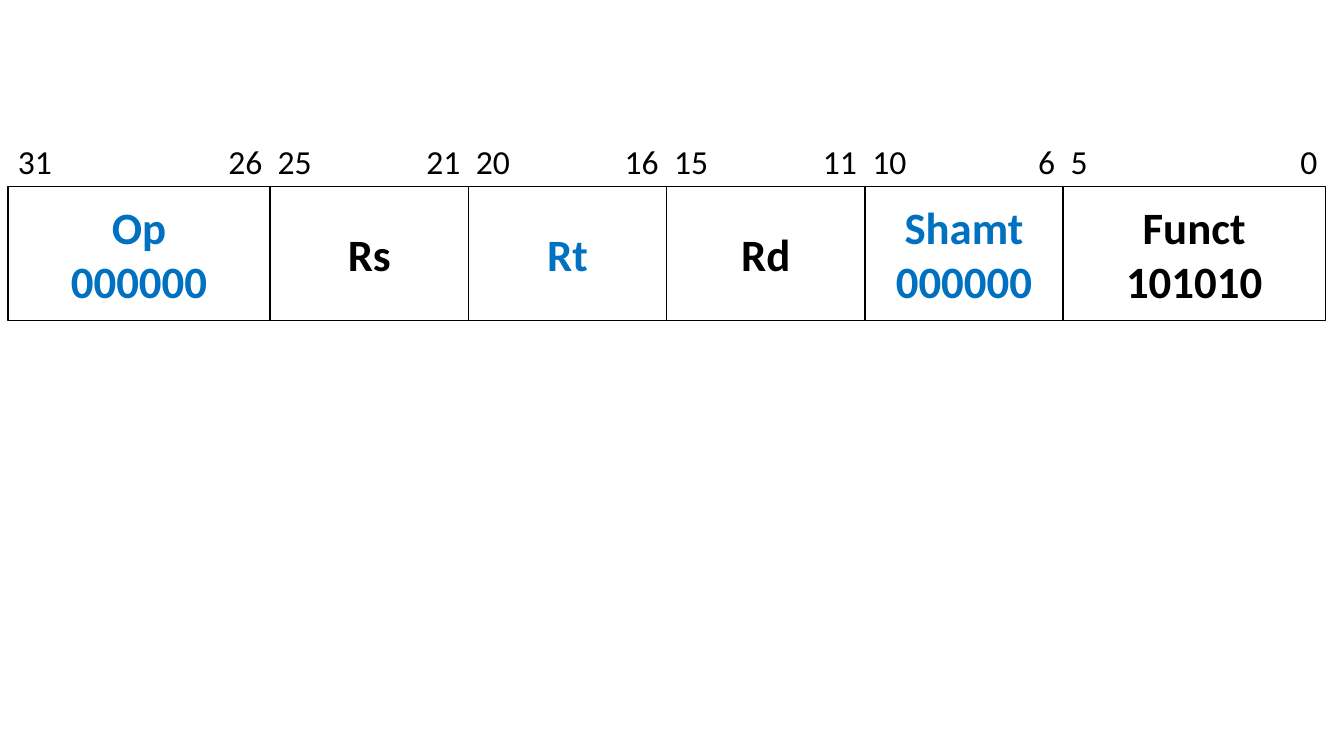
from dataclasses import dataclass
from itertools import accumulate

from lxml import etree
from pptx import Presentation
from pptx import util as u
from pptx.dml.color import RGBColor
from pptx.enum import shapes, text
from pptx.oxml.ns import qn


@dataclass(frozen=True)
class Theme:
    font: str = "Calibri"
    ink: RGBColor = RGBColor(0, 0, 0)
    blue: RGBColor = RGBColor(0x00, 0x70, 0xC0)
    label: int = 32
    bit: int = 24


THEME = Theme()
INSET = 7.2  # left margin of the bit row
GAP = 5.5    # from a field edge to its bit number

# lines, high bit, low bit, width, colour
FIELDS = [
    (["Op", "000000"], 31, 26, 187.3, THEME.blue),
    (["Rs"], 25, 21, 141.6, THEME.ink),
    (["Rt"], 20, 16, 141.6, THEME.blue),
    (["Rd"], 15, 11, 141.6, THEME.ink),
    (["Shamt", "000000"], 10, 6, 141.6, THEME.blue),
    (["Funct", "101010"], 5, 0, 187.3, THEME.ink),
]
WIDTHS = [field[3] for field in FIELDS]
EDGES = list(accumulate(WIDTHS, initial=0))


def add_run(para, words, size, color, bold=False):
    run = para.add_run()
    run.text = words
    font = run.font
    font.name, font.size, font.bold = THEME.font, u.Pt(size), bold
    font.color.rgb = color


def add_field(slide, left, top, width, height, lines, color):
    cell = slide.shapes.add_shape(
        shapes.MSO_SHAPE.RECTANGLE, u.Pt(left), u.Pt(top), u.Pt(width), u.Pt(height))
    cell.shadow.inherit = False
    cell.fill.background()
    cell.line.color.rgb = THEME.ink
    cell.line.width = u.Pt(1)
    frame = cell.text_frame
    frame.word_wrap = False
    frame.vertical_anchor = text.MSO_ANCHOR.MIDDLE
    for i, line in enumerate(lines):
        para = frame.add_paragraph() if i else frame.paragraphs[0]
        para.alignment = text.PP_ALIGN.CENTER
        add_run(para, line, THEME.label, color, True)


def add_bits(slide, left, top, width, height):
    """Place the bit numbers on one line, with tab stops at the field edges."""
    box = slide.shapes.add_textbox(u.Pt(left), u.Pt(top), u.Pt(width), u.Pt(height))
    frame = box.text_frame
    frame.word_wrap = True
    frame.margin_left, frame.margin_right = u.Pt(INSET), 0
    para = frame.paragraphs[0]
    para.alignment = text.PP_ALIGN.LEFT
    stops = []
    for edge in EDGES[1:]:
        stops += [(edge - GAP, "r"), (edge + GAP, "l")]
    tabs = etree.SubElement(para._p.get_or_add_pPr(), qn("a:tabLst"))
    for pos, side in stops[:-1]:
        etree.SubElement(tabs, qn("a:tab"), pos=str(u.Pt(pos - INSET)), algn=side)
    bits = [str(bit) for field in FIELDS for bit in field[1:3]]
    add_run(para, "\t".join(bits), THEME.bit, THEME.ink)


def add_format(slide, left, top, width, height, head):
    """Draw the instruction word: a bit row of height head above its fields."""
    for (lines, _, _, wide, color), edge in zip(FIELDS, EDGES):
        add_field(slide, left + edge, top + head, wide, height - head, lines, color)
    add_bits(slide, left, top, width, head)


def main():
    deck = Presentation()
    deck.slide_width, deck.slide_height = u.Pt(960), u.Pt(540)
    slide = deck.slides.add_slide(deck.slide_layouts[6])
    add_format(slide, 5.7, 96.8, EDGES[-1], 132, 36.4)
    deck.save("out.pptx")


if __name__ == "__main__":
    main()
